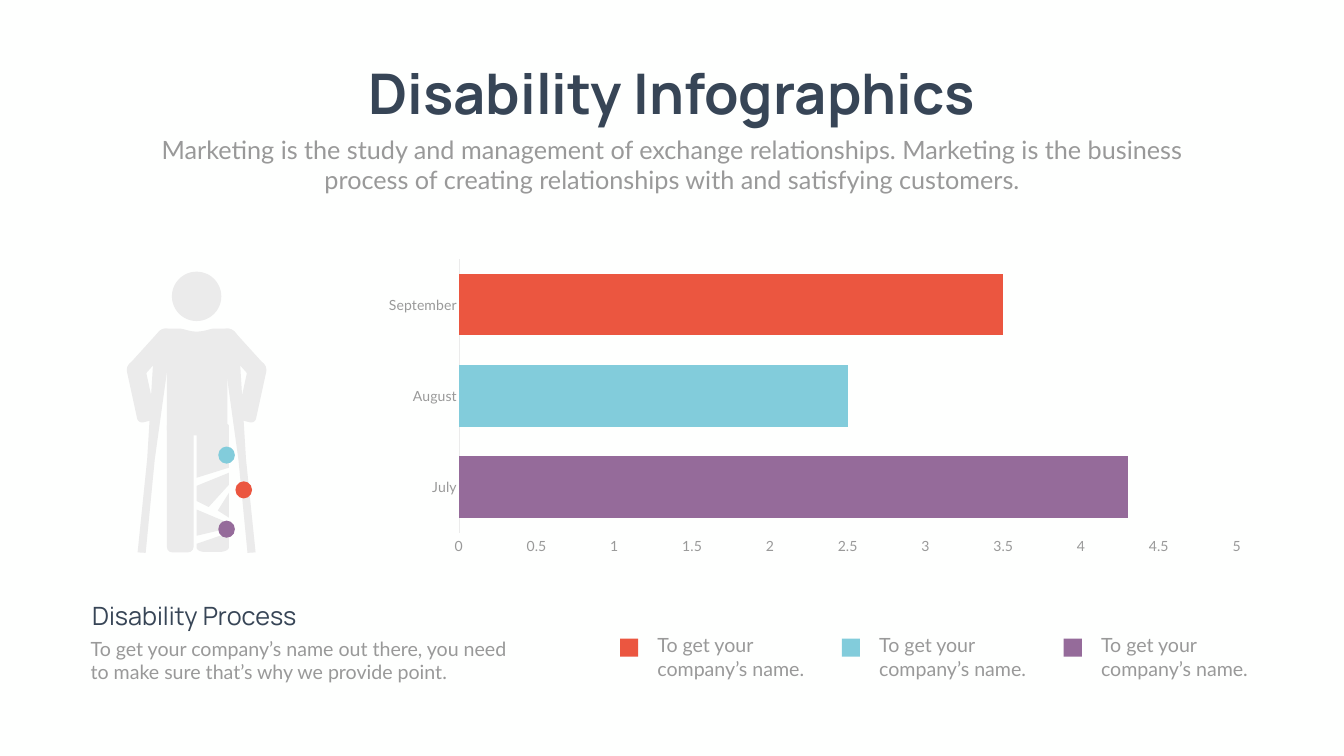
from pptx import Presentation
from pptx.chart.data import CategoryChartData
from pptx.dml.color import RGBColor
from pptx.enum.chart import XL_CHART_TYPE, XL_TICK_MARK
from pptx.enum.shapes import MSO_SHAPE
from pptx.enum.text import MSO_AUTO_SIZE, PP_ALIGN
from pptx.oxml import parse_xml
from pptx.oxml.ns import nsdecls, qn
from pptx.util import Inches, Pt

BAR, NO_TICK, TICK = XL_CHART_TYPE.BAR_CLUSTERED, XL_TICK_MARK.NONE, XL_TICK_MARK.OUTSIDE
RECT, OVAL = MSO_SHAPE.RECTANGLE, MSO_SHAPE.OVAL
LEFT, CENTER = PP_ALIGN.LEFT, PP_ALIGN.CENTER
GROW = MSO_AUTO_SIZE.SHAPE_TO_FIT_TEXT

WHITE = RGBColor(0xFE, 0xFF, 0xFE)
NAVY = RGBColor(0x37, 0x45, 0x56)
GRAY = RGBColor(0x99, 0x99, 0x99)
PALE = RGBColor(0xEB, 0xEB, 0xEB)
RED = RGBColor(0xEB, 0x56, 0x40)
BLUE = RGBColor(0x82, 0xCC, 0xDB)
PURPLE = RGBColor(0x95, 0x6B, 0x9A)

# Content; all places are columns and rows of a grid of one-inch cells
COLUMNS, ROWS = 26.66, 15
TITLE = "Disability Infographics"
INTRO = ("Marketing is the study and management of exchange relationships. "
         "Marketing is the business process of creating relationships with "
         "and satisfying customers.")
PROCESS = "Disability Process"
PROCESS_NOTE = ("To get your company’s name out there, you need to make sure "
                "that’s why we provide point.")
LEGEND_NOTE = "To get your company’s name."
LEGEND_COLORS = [RED, BLUE, PURPLE]
LEGEND_LEFT, LEGEND_STEP = 12.3, 4.4

MONTHS = [("July", 4.3, PURPLE), ("August", 2.5, BLUE), ("September", 3.5, RED)]
CHART_AREA = (6.5, 4.8, 18.9, 6.7)
PLOT_AREA = (9.1, 5.14, 15.43, 5.43)

# Figure outlines: two numbers are a corner, six are a curve
BODY_AXIS = 3.9
PAIRED_PARTS = [
    # forearm, upper arm, crutch
    [(2.66, 7.16), (2.56, 7.19, 2.5, 7.28, 2.52, 7.38), (2.72, 8.3),
     (2.73, 8.36, 2.79, 8.39, 2.84, 8.38), (3, 8.34),
     (3.06, 8.33, 3.09, 8.28, 3.08, 8.22), (2.88, 7.3),
     (2.85, 7.2, 2.76, 7.14, 2.66, 7.16)],
    [(3.41, 6.57), (3.34, 6.5, 3.22, 6.5, 3.15, 6.58), (2.57, 7.22),
     (2.5, 7.3, 2.51, 7.41, 2.59, 7.48), (2.66, 7.55, 2.78, 7.54, 2.85, 7.46),
     (3.42, 6.82), (3.49, 6.75, 3.48, 6.63, 3.41, 6.57)],
    [(2.89, 10.97), (2.73, 10.96), (2.92, 9.11), (3.05, 7), (3.36, 7.03), (3.07, 9.12)],
]
SINGLE_PARTS = [
    # shoulders
    [(4.5, 6.52), (4.25, 6.52), (4.17, 6.52, 4.06, 6.58, 3.9, 6.58),
     (3.75, 6.58, 3.65, 6.52, 3.55, 6.52), (3.3, 6.52),
     (3.19, 6.52, 3.09, 6.61, 3.09, 6.73), (3.09, 6.76),
     (3.09, 6.88, 3.18, 6.98, 3.3, 6.98), (4.51, 6.98),
     (4.62, 6.98, 4.72, 6.88, 4.72, 6.76), (4.72, 6.73),
     (4.72, 6.61, 4.62, 6.52, 4.5, 6.52)],
    # bandaged leg, from the thigh down to the foot
    [(4.54, 9.28), (4.54, 8.45), (4.54, 8.39, 4.43, 8.41, 4.37, 8.41), (4.05, 8.41),
     (3.99, 8.41, 3.9, 8.39, 3.9, 8.45), (3.9, 9.48)],
    [(3.9, 9.94), (4.14, 10.06), (4.54, 9.62), (4.54, 9.38), (3.9, 9.64)],
    [(4.54, 10.27), (4.54, 9.78), (4.32, 10.13)],
    [(4.54, 10.48), (4.54, 10.38), (3.9, 10.11), (3.9, 10.63)],
    [(3.9, 10.79), (3.9, 10.86), (3.9, 10.92, 3.99, 10.95, 4.05, 10.95), (4.37, 10.95),
     (4.43, 10.95, 4.54, 10.92, 4.54, 10.86), (4.54, 10.57)],
]
CORNER = 0.11
ROUNDED_PARTS = [(3.31, 6.61, 1.2, 2.03), (3.31, 8.34, 0.53, 2.62)]  # torso, leg
CHEST = (2.95, 6.82, 1.91, 0.42)
HEAD = (3.41, 5.39, 0.98, 0.98)
DOTS = [(4.33, 8.86, BLUE), (4.67, 9.55, RED), (4.33, 10.33, PURPLE)]


def cells(area):
    return [Inches(length) for length in area]


def paint(shape, color):
    shape.shadow.inherit = False
    shape.fill.solid()
    shape.fill.fore_color.rgb = color
    shape.line.fill.background()


def add_text(shapes, text, area, size=28, font="Lato", color=GRAY, bold=False,
             align=LEFT, wrap=True, insets=(0.1, 0.05)):
    frame = shapes.add_textbox(*cells(area)).text_frame
    frame.word_wrap, frame.auto_size = wrap, GROW
    frame.margin_left = frame.margin_right = Inches(insets[0])
    frame.margin_top = frame.margin_bottom = Inches(insets[1])
    para = frame.paragraphs[0]
    para.alignment = align
    span = para.add_run()
    span.text = text
    span.font.size, span.font.name, span.font.bold = Pt(size), font, bold
    span.font.color.rgb = color


def add_part(shapes, kind, area, color):
    shape = shapes.add_shape(kind, *cells(area))
    paint(shape, color)
    return shape


def trace(outline, steps=8):
    """Turn corners and Bézier curves into a list of points."""
    points = [outline[0]]
    for piece in outline[1:]:
        if len(piece) == 2:
            points.append(piece)
            continue
        controls = [points[-1], piece[:2], piece[2:4], piece[4:]]
        for step in range(1, steps + 1):
            t = step / steps
            weights = [(1 - t) ** 3, 3 * t * (1 - t) ** 2, 3 * t * t * (1 - t), t ** 3]
            points.append(tuple(sum(w * c[axis] for w, c in zip(weights, controls))
                                for axis in (0, 1)))
    return points


def add_outline(shapes, points):
    points = [cells(point) for point in points]
    builder = shapes.build_freeform(*points[0])
    builder.add_line_segments(points[1:], close=True)
    paint(builder.convert_to_shape(), PALE)


def add_figure(page):
    shapes = page.shapes.add_group_shape().shapes
    for outline in PAIRED_PARTS:
        points = trace(outline)
        add_outline(shapes, points)
        add_outline(shapes, [(2 * BODY_AXIS - x, y) for x, y in points])
    for outline in SINGLE_PARTS:
        add_outline(shapes, trace(outline))
    for area in ROUNDED_PARTS:
        part = add_part(shapes, MSO_SHAPE.ROUNDED_RECTANGLE, area, PALE)
        part.adjustments[0] = CORNER / area[2]
    add_part(shapes, RECT, CHEST, PALE)
    add_part(shapes, OVAL, HEAD, PALE)
    for column, row, color in DOTS:
        add_part(shapes, OVAL, (column, row, 0.33, 0.34), color)


def add_month_chart(page):
    data = CategoryChartData()
    data.categories = [month for month, _, _ in MONTHS]
    data.add_series("Months", [value for _, value, _ in MONTHS])
    chart = page.shapes.add_chart(BAR, *cells(CHART_AREA), data).chart
    chart.has_legend = chart.has_title = False
    chart.font.size, chart.font.name = Pt(20), "Lato"
    chart.font.color.rgb = GRAY
    plot = chart.plots[0]
    plot.gap_width, plot.vary_by_categories = 48, False
    for index, (_, _, color) in enumerate(MONTHS):
        fill = plot.series[0].points[index].format.fill
        fill.solid()
        fill.fore_color.rgb = color

    months, values = chart.category_axis, chart.value_axis
    months.major_tick_mark = NO_TICK
    months.format.line.color.rgb = PALE
    months.format.line.width = Pt(0.5)
    values.minimum_scale, values.maximum_scale, values.major_unit = 0, 5, 0.5
    values.has_major_gridlines = False
    values.major_tick_mark = TICK
    values.format.line.fill.background()
    values.tick_labels.number_format = "General"
    values.tick_labels.number_format_is_linked = False

    # Fix the inner plot area as shares of the chart
    left, top, width, height = CHART_AREA
    shares = {"x": (PLOT_AREA[0] - left) / width, "y": (PLOT_AREA[1] - top) / height,
              "w": PLOT_AREA[2] / width, "h": PLOT_AREA[3] / height}
    modes = "".join(f'<c:{side}Mode val="edge"/>' for side in "xy")
    sizes = "".join(f'<c:{side} val="{share:.4f}"/>' for side, share in shares.items())
    plot_area = chart._chartSpace.chart.plotArea
    for layout in plot_area.findall(qn("c:layout")):
        plot_area.remove(layout)
    plot_area.insert(0, parse_xml(
        f'<c:layout {nsdecls("c")}><c:manualLayout><c:layoutTarget val="inner"/>'
        f'{modes}{sizes}</c:manualLayout></c:layout>'))


def main():
    deck = Presentation()
    deck.slide_width, deck.slide_height = Inches(COLUMNS), Inches(ROWS)
    page = deck.slides.add_slide(deck.slide_layouts[6])
    page.background.fill.solid()
    page.background.fill.fore_color.rgb = WHITE

    # Heading
    add_text(page.shapes, TITLE, (6.71, 1.12, 13.24, 1.45), size=80, font="Manrope",
             color=NAVY, bold=True, align=CENTER, wrap=False)
    add_text(page.shapes, INTRO, (2.92, 2.61, 20.82, 1.31), size=36, align=CENTER)

    # Process note
    process = page.shapes.add_group_shape().shapes
    add_text(process, PROCESS_NOTE, (1.7, 12.58, 8.67, 1.04))
    add_text(process, PROCESS, (1.73, 11.86, 5.72, 0.71), size=36, font="Manrope", color=NAVY)

    # Legend
    for index, color in enumerate(LEGEND_COLORS):
        entry = page.shapes.add_group_shape().shapes
        column = LEGEND_LEFT + index * LEGEND_STEP
        add_text(entry, LEGEND_NOTE, (column + 0.5, 12.44, 3.68, 1.18), insets=(0.24, 0.12))
        add_part(entry, RECT, (column, 12.67, 0.36, 0.36), color)

    add_figure(page)
    add_month_chart(page)
    deck.save("out.pptx")


if __name__ == "__main__":
    main()
